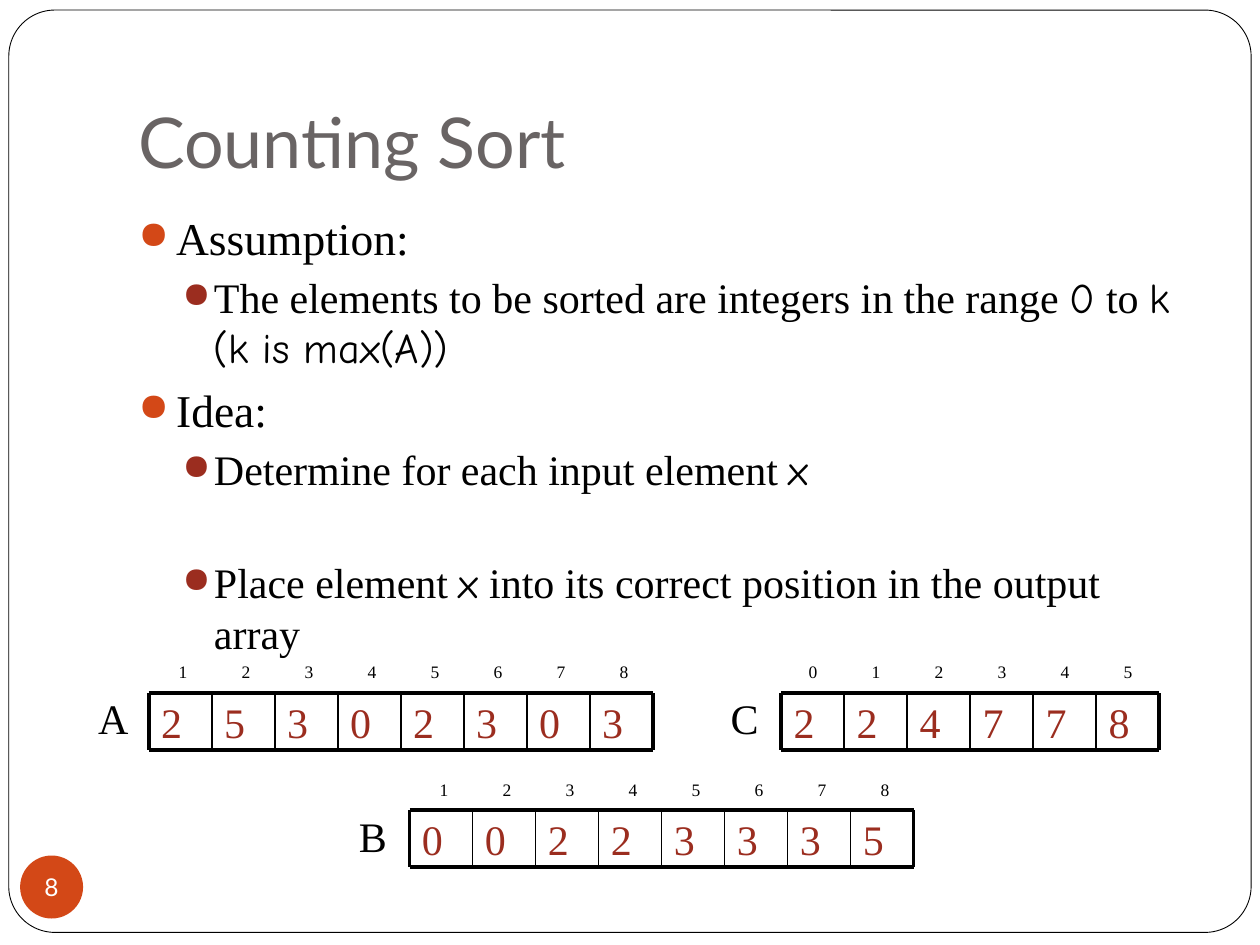
"""Build the Counting Sort slide with its bulleted idea and three indexed arrays."""
from lxml.etree import SubElement
from pptx import Presentation
from pptx.dml.color import RGBColor
from pptx.enum.shapes import MSO_CONNECTOR, MSO_SHAPE
from pptx.enum.text import MSO_ANCHOR, MSO_AUTO_SIZE, PP_ALIGN
from pptx.oxml.ns import qn
from pptx.util import Inches, Pt

BLACK = RGBColor(0x00, 0x00, 0x00)
WHITE = RGBColor(0xFF, 0xFF, 0xFF)
GRAY = RGBColor(0x69, 0x64, 0x64)
ORANGE = RGBColor(0xD3, 0x48, 0x17)
RED = RGBColor(0x9B, 0x2D, 0x1F)
SERIF, SANS, HAND = "Times New Roman", "Lato", "Comic Neue"

TITLE = "Counting Sort"
PAGE = "8"
POINTS = [
    (0, 0, [("Assumption:", SERIF)]),
    (1, 3.7, [("The elements to be sorted are integers in the range ", SERIF),
              ("0", HAND), (" to ", SERIF), ("k (k is max(A))", HAND)]),
    (0, 5.8, [("Idea:", SERIF)]),
    (1, 3.7, [("Determine for each input element ", SERIF), ("x", HAND)]),
    (1, 36, [("Place element ", SERIF), ("x", HAND),
             (" into its correct position in the output array", SERIF)]),
]
LEVELS = [
    {"size": 26, "bullet": ORANGE, "margin": 0.3, "hanging": 0.3},
    {"size": 24, "bullet": RED, "margin": 0.6, "hanging": 0.25},
]
ARRAYS = [
    {"name": "A", "left": 1.18, "top": 5.5, "first": 1, "index_gap": 0.14,
     "values": [2, 5, 3, 0, 2, 3, 0, 3]},
    {"name": "C", "left": 6.2, "top": 5.5, "first": 0, "index_gap": 0.12,
     "values": [2, 2, 4, 7, 7, 8]},
    {"name": "B", "left": 3.25, "top": 6.43, "first": 1, "index_gap": 0.14,
     "values": [0, 0, 2, 2, 3, 3, 3, 5]},
]
CELL_WIDTH, CELL_HEIGHT = 0.5, 0.45
THICK, THIN = 2.25, 1


def write(paragraph, text, *, size, font=SERIF, color=BLACK, align=None):
    run = paragraph.add_run()
    run.text = text
    run.font.size = Pt(size)
    run.font.name = font
    run.font.color.rgb = color
    if align is not None:
        paragraph.alignment = align


def add_frame(shapes, left, top, width, height, anchor=MSO_ANCHOR.TOP, wrap=True, grow=False):
    frame = shapes.add_textbox(Inches(left), Inches(top), Inches(width), Inches(height)).text_frame
    frame.word_wrap = wrap
    frame.vertical_anchor = anchor
    frame.auto_size = MSO_AUTO_SIZE.SHAPE_TO_FIT_TEXT if grow else MSO_AUTO_SIZE.NONE
    return frame


def add_panel(shapes, preset, left, top, width, height, fill):
    panel = shapes.add_shape(preset, Inches(left), Inches(top), Inches(width), Inches(height))
    panel.shadow.inherit = False
    panel.fill.solid()
    panel.fill.fore_color.rgb = fill
    return panel


def add_rule(shapes, x1, y1, x2, y2, weight):
    rule = shapes.add_connector(MSO_CONNECTOR.STRAIGHT,
                                Inches(x1), Inches(y1), Inches(x2), Inches(y2))
    rule.line.color.rgb = BLACK
    rule.line.width = Pt(weight)
    SubElement(rule._element.spPr, qn("a:effectLst"))


def add_bullet(paragraph, color, margin, hanging):
    props = paragraph._p.get_or_add_pPr()
    props.set("marL", str(Inches(margin)))
    props.set("indent", str(-Inches(hanging)))
    SubElement(SubElement(props, qn("a:buClr")), qn("a:srgbClr"), val=str(color))
    SubElement(props, qn("a:buSzPct"), val="85000")
    SubElement(props, qn("a:buChar"), char="●")


def add_points(shapes):
    frame = add_frame(shapes, 1, 1.58, 8.5, 5)
    frame.margin_top = Inches(0.09)
    for number, (level, space, runs) in enumerate(POINTS):
        point = frame.add_paragraph() if number else frame.paragraphs[0]
        style = LEVELS[level]
        point.level = level
        add_bullet(point, style["bullet"], style["margin"], style["hanging"])
        point.space_before = Pt(space)
        for text, font in runs:
            write(point, text, size=style["size"], font=font)


def add_array(slide, name, left, top, first, index_gap, values):
    shapes = slide.shapes.add_group_shape().shapes
    count = len(values)
    right, bottom = left + count * CELL_WIDTH, top + CELL_HEIGHT
    for position, value in enumerate(values):
        x = left + position * CELL_WIDTH
        cell = add_frame(shapes, x, top, CELL_WIDTH, CELL_HEIGHT, anchor=MSO_ANCHOR.MIDDLE)
        write(cell.paragraphs[0], str(value), size=24, color=RED)
        index = add_frame(shapes, x + index_gap, top - 0.3, 0.21, 0.27, grow=True)
        write(index.paragraphs[0], str(first + position), size=10)
    for y in (top, bottom):
        add_rule(shapes, left, y, right, y, THICK)
    for edge in range(count + 1):
        x = left + edge * CELL_WIDTH
        add_rule(shapes, x, top, x, bottom, THICK if edge in (0, count) else THIN)
    label = add_frame(shapes, left - 0.5, top - 0.05, 0.42, 0.5, wrap=False, grow=True)
    write(label.paragraphs[0], name, size=24)


def main():
    deck = Presentation()
    deck.slide_width, deck.slide_height = Inches(10), Inches(7.5)
    slide = deck.slides.add_slide(deck.slide_layouts[6])
    shapes = slide.shapes

    border = add_panel(shapes, MSO_SHAPE.ROUNDED_RECTANGLE, 0.07, 0.08, 9.86, 7.32, WHITE)
    border.adjustments[0] = 0.05
    border.line.color.rgb = BLACK
    border.line.width = Pt(0.5)

    badge = add_panel(shapes, MSO_SHAPE.OVAL, 0.16, 6.79, 0.5, 0.5, ORANGE)
    badge.line.fill.background()
    page = badge.text_frame
    page.margin_left = page.margin_right = page.margin_top = page.margin_bottom = 0
    page.word_wrap = False
    page.vertical_anchor = MSO_ANCHOR.MIDDLE
    write(page.paragraphs[0], PAGE, size=14, font=SANS, color=WHITE, align=PP_ALIGN.CENTER)

    title = add_frame(shapes, 1, 0.3, 8.5, 1.25, anchor=MSO_ANCHOR.BOTTOM)
    title.margin_bottom = Inches(0.1)
    write(title.paragraphs[0], TITLE, size=40, font=SANS, color=GRAY)

    add_points(shapes)
    for array in ARRAYS:
        add_array(slide, **array)
    deck.save("out.pptx")


if __name__ == "__main__":
    main()
